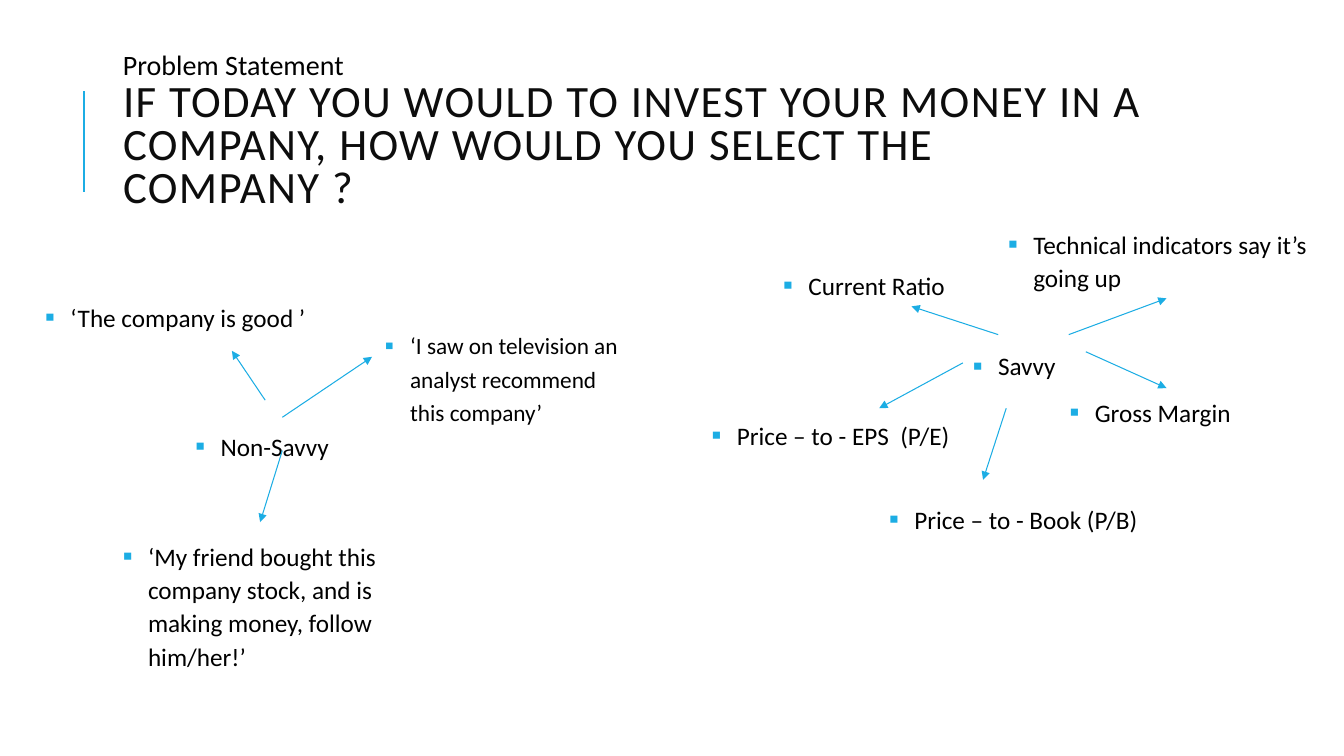
from dataclasses import dataclass

from lxml.etree import SubElement as Sub
from pptx import Presentation
from pptx.dml.color import RGBColor as RGB
from pptx.enum.shapes import MSO_CONNECTOR as Conn
from pptx.enum.text import MSO_ANCHOR as Anchor, MSO_AUTO_SIZE as Fit, PP_ALIGN as Align
from pptx.oxml.ns import qn
from pptx.util import Inches, Pt


@dataclass(frozen=True)
class Theme:
    font: str = "Calibri"
    accent: str = "1CADE4"
    ink: str = "000000"
    head: str = "0D0D0D"
    title: float = 32
    label: float = 20
    body: float = 18
    small: float = 16.6


T = Theme()


def add_run(para, text, size, color=T.ink):
    run = para.add_run()
    run.text = text
    run.font.name = T.font
    run.font.size = Pt(size)
    run.font.color.rgb = RGB.from_string(color)
    return run


def add_box(slide, box):
    frame = slide.shapes.add_textbox(*map(Inches, box)).text_frame
    frame.word_wrap = True
    return frame


def add_line(slide, start, end, width, arrow=False):
    line = slide.shapes.add_connector(Conn.STRAIGHT, *map(Inches, (*start, *end)))
    line.line.color.rgb = RGB.from_string(T.accent)
    line.line.width = Pt(width)
    if arrow:
        Sub(line.line._get_or_add_ln(), qn("a:tailEnd"), type="triangle")
    Sub(line._element.spPr, qn("a:effectLst"))
    return line


def add_point(slide, box, text, size=T.body, gap=1.2):
    frame = add_box(slide, box)
    frame.vertical_anchor = Anchor.MIDDLE
    para = frame.paragraphs[0]
    para.line_spacing = gap
    para.space_before = Pt(10)
    add_run(para, text, size)
    # Square bullet with a hanging indent
    props = para._p.get_or_add_pPr()
    props.set("marL", str(Inches(0.25)))
    props.set("indent", str(Inches(-0.25)))
    Sub(Sub(props, qn("a:buClr")), qn("a:srgbClr"), val=T.accent)
    Sub(props, qn("a:buSzPct"), val="110000")
    Sub(props, qn("a:buFont"), typeface=T.font)
    Sub(props, qn("a:buChar"), char="▪")


def add_head(slide, box):
    left, top, width, height = box
    # Accent rule beside the title
    add_line(slide, (left - 0.29, top + 1.26), (left - 0.29, top + 0.26), 1.5)
    # Title
    title = slide.shapes.title
    title.left, title.top, title.width, title.height = map(Inches, box)
    frame = title.text_frame
    frame.word_wrap = True
    frame.auto_size = Fit.NONE
    frame.vertical_anchor = Anchor.MIDDLE
    para = frame.paragraphs[0]
    para.alignment = Align.LEFT
    para.line_spacing = 0.8
    lines = ("IF TODAY YOU WOULD TO INVEST YOUR MONEY IN A COMPANY, HOW WOULD YOU SELECT THE",
             "COMPANY ?")
    for i, text in enumerate(lines):
        if i:
            para.add_line_break()
        run = add_run(para, text, T.title, T.head)
        run.font._element.set("spc", "100")
    # Label above the title
    label = add_box(slide, (left, top - 0.22, 6.67, 0.44))
    add_run(label.paragraphs[0], "Problem Statement", T.label)


def add_web(slide, box, points, arrows):
    """Place points and arrows by their offsets from the corner of the box."""
    left, top = box[:2]
    for (x, y, width, height), *text in points:
        add_point(slide, (left + x, top + y, width, height), *text)
    return [add_line(slide, (left + x1, top + y1), (left + x2, top + y2), 0.75, True)
            for x1, y1, x2, y2 in arrows]


def add_naive(slide, box):
    size = (2.96, 1.46)
    points = [
        ((0, 0, *size), "‘The company is good ’"),
        ((0.77, 2.88, *size),
         "‘My friend bought this company stock, and is making money, follow him/her!’",
         T.body, 1.1),
        ((1.49, 1.28, *size), "Non-Savvy"),
        ((3.37, 0.78, 2.54, 1.12),
         "‘I saw on television an analyst recommend this company’", T.small),
    ]
    arrows = [(2.28, 1.58, 1.95, 1.09), (2.45, 1.75, 3.34, 1.15), (2.45, 2.08, 2.23, 2.79)]
    add_web(slide, box, points, arrows)


def add_savvy(slide, box):
    size = (3.33, 0.78)
    points = [
        ((0, 1.72, *size), "Price – to - EPS  (P/E)"),
        ((0.71, 0.23, *size), "Current Ratio"),
        ((3.55, 1.49, *size), "Gross Margin"),
        ((2.94, 0, *size), "Technical indicators say it’s going up", T.body, 1.1),
        ((1.76, 2.55, *size), "Price – to - Book (P/B)"),
        ((2.59, 0.94, 1.58, 0.96), "Savvy"),
    ]
    arrows = [
        (2.59, 1.42, 1.76, 1.87), (3.02, 1.87, 2.79, 2.58), (2.94, 1.14, 2.08, 0.86),
        (3.64, 1.14, 4.61, 0.78), (3.81, 1.31, 4.61, 1.67),
    ]
    lines = add_web(slide, box, points, arrows)
    # The first arrow leaves the left side of the hub, the last point placed
    hub = slide.shapes[-len(lines) - 1]
    lines[0].begin_connect(hub, 1)


def main():
    deck = Presentation()
    deck.slide_width, deck.slide_height = Inches(13.33), Inches(7.5)
    slide = deck.slides.add_slide(deck.slide_layouts[5])
    add_head(slide, (1.12, 0.64, 10.63, 1.64))
    add_naive(slide, (0.35, 2.39, 5.91, 4.34))
    add_savvy(slide, (6.96, 2.18, 6.88, 3.33))
    deck.save("out.pptx")


if __name__ == "__main__":
    main()
